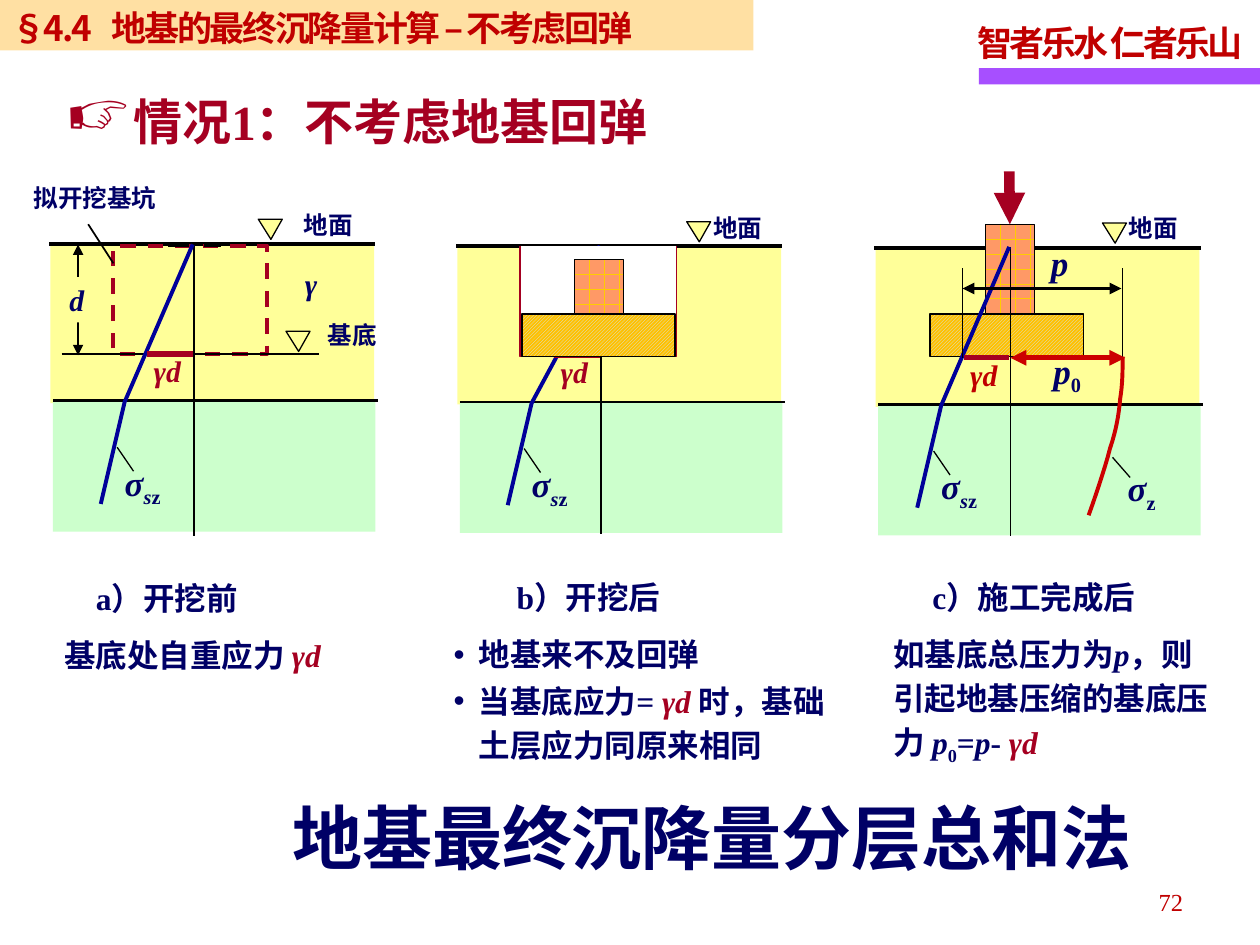
from dataclasses import dataclass
from lxml import etree
from pptx import Presentation
from pptx.dml.color import RGBColor
from pptx.enum.dml import MSO_LINE, MSO_PATTERN
from pptx.enum.shapes import MSO_CONNECTOR, MSO_SHAPE
from pptx.enum.text import MSO_ANCHOR, MSO_AUTO_SIZE, PP_ALIGN
from pptx.oxml.ns import qn
from pptx.util import Inches, Pt

RECT, STRAIGHT = MSO_SHAPE.RECTANGLE, MSO_CONNECTOR.STRAIGHT
LEFT, CENTER, RIGHT = PP_ALIGN.LEFT, PP_ALIGN.CENTER, PP_ALIGN.RIGHT
HATCH, BRICK = MSO_PATTERN.DARK_UPWARD_DIAGONAL, MSO_PATTERN.HORIZONTAL_BRICK


@dataclass(frozen=True)
class Theme:
    navy: str = "000066"
    crimson: str = "A50021"
    red: str = "C00000"
    curve: str = "CC0000"
    stress: str = "000099"
    black: str = "000000"
    white: str = "FFFFFF"
    soil: str = "FFFF99"
    subsoil: str = "CCFFCC"
    band: str = "FFCC66"
    rule: str = "A74FFF"
    serif: str = "Times New Roman"
    sans: str = "Roboto"
    cjk: str = "Noto Sans CJK SC"
    small: int = 14
    symbol: int = 17
    body: int = 18
    large: int = 20
    heading: int = 28
    closing: int = 40


T = Theme()
FOOTING = (HATCH, "CCECFF", "FFC000")
COLUMN = (BRICK, "FFCC00", "FF9966")

# A span is (text, flags, colour): i = italic, _ = subscript
GAMMA_D = ("γd", "i", T.crimson)
SIGMA_SZ = [("σ", "i"), ("s", "i_"), ("z", "_")]

# left, ground level, axis offset, marker offset, label offset, bends of the stress line
PANELS = {
    "before": (0.4, 1.94, 1.14, (1.65, -0.2), (1.94, -0.31), [(-0.01, 0)]),
    "after": (3.63, 1.95, 1.14, (1.82, -0.19), (1.96, -0.3), [(-0.01, 0), (-0.34, 0.86)]),
    "built": (6.95, 1.97, 1.07, (1.8, -0.2), (1.94, -0.32), [(-0.01, -0.01)]),
}
# box, heading, heading indent, hanging indent, bullet, paragraphs
COLUMNS = [
    ((0.44, 4.51, 2.26, 0.88), "a）开挖前", 0.25, 0, None,
     [[("基底处自重应力 ", ""), GAMMA_D]]),
    ((3.53, 4.5, 3.27, 1.6), "b）开挖后", 0.5, 0.2, "•",
     [[("地基来不及回弹", "")],
      [("当基底应力= ", ""), ("γd ", "i", T.crimson), ("时，基础土层应力同原来相同", "")]]),
    ((7.02, 4.5, 2.72, 1.57), "c）施工完成后", 0.31, 0, None,
     [[("如基底总压力为", ""), ("p", "i"), ("，则引起地基压缩的基底压力 ", ""), ("p", "i"),
       ("0", "_"), ("=", ""), ("p", "i"), ("- ", ""), GAMMA_D]]),
]
SIGMA_Z_CURVE = [
    [(8.91, 2.83), (8.91, 2.94), (8.91, 3.05), (8.89, 3.17)],
    [(8.89, 3.17), (8.88, 3.29), (8.86, 3.41), (8.81, 3.56)],
    [(8.81, 3.56), (8.77, 3.72), (8.67, 4.01), (8.64, 4.09)],
]

deck = Presentation()
deck.slide_width, deck.slide_height = Inches(10), Inches(7.5)
page = deck.slides.add_slide(deck.slide_layouts[4])
shapes = page.shapes


def rgb(value):
    return RGBColor.from_string(value)


def place(box, area):
    box.left, box.top, box.width, box.height = map(Inches, area)


def paint(shape, fill=None, line=None, width=1):
    shape.shadow.inherit = False
    if fill is None:
        shape.fill.background()
    elif isinstance(fill, tuple):
        shape.fill.patterned()
        shape.fill.pattern = fill[0]
        shape.fill.fore_color.rgb, shape.fill.back_color.rgb = rgb(fill[1]), rgb(fill[2])
    else:
        shape.fill.solid()
        shape.fill.fore_color.rgb = rgb(fill)
    if line:
        shape.line.color.rgb = rgb(line)
        shape.line.width = Pt(width)
    else:
        shape.line.fill.background()
    return shape


def rect(area, *style):
    return paint(shapes.add_shape(RECT, *map(Inches, area)), *style)


def outline(points, *style, close=False):
    start, *rest = [(Inches(x), Inches(y)) for x, y in points]
    builder = shapes.build_freeform(*start)
    builder.add_line_segments(rest, close=close)
    return paint(builder.convert_to_shape(), *style)


def line(start, end, color=T.black, width=1.0, ends="", dash=False):
    """Draw a straight line; ends may name headEnd and tailEnd arrowheads."""
    link = shapes.add_connector(STRAIGHT, *map(Inches, (*start, *end)))
    link.line.color.rgb, link.line.width = rgb(color), Pt(width)
    if dash:
        link.line.dash_style = MSO_LINE.DASH
    for end_name in ends.split():
        etree.SubElement(link.line._ln, qn("a:" + end_name), type="triangle")
    etree.SubElement(link._element.spPr, qn("a:effectLst"))
    return link


def write(para, spans, size, color=T.navy, font=T.serif, bold=True, tracking=0):
    for text, flags, *own in spans:
        span = para.add_run()
        span.text = text
        span.font.name, span.font.size, span.font.bold = font, Pt(size), bold
        span.font.italic = "i" in flags
        span.font.color.rgb = rgb(own[0] if own else color)
        if "_" in flags:
            span.font._element.set("baseline", "-25000")
        if tracking:
            span.font._element.set("spc", str(tracking))


def indent(para, margin=0.0, first=0.0, bullet=None, percent=100):
    props = para._p.get_or_add_pPr()
    props.set("marL", str(Inches(margin)))
    props.set("indent", str(Inches(first)))
    if bullet:
        etree.SubElement(props, qn("a:buSzPct"), val=str(percent * 1000))
        etree.SubElement(props, qn("a:buChar"), char=bullet)
    else:
        etree.SubElement(props, qn("a:buNone"))


def frame_of(box, inset=(0.07, 0.04), wrap=True):
    frame = box.text_frame
    frame.auto_size, frame.word_wrap = MSO_AUTO_SIZE.NONE, wrap
    frame.vertical_anchor = MSO_ANCHOR.TOP
    frame.margin_left = frame.margin_right = Inches(inset[0])
    frame.margin_top = frame.margin_bottom = Inches(inset[1])
    return frame


def label(area, spans, size, align=LEFT, inset=(0.07, 0.04), wrap=True, spacing=1.0, **style):
    box = shapes.add_textbox(*map(Inches, area))
    para = frame_of(box, inset, wrap).paragraphs[0]
    para.alignment, para.line_spacing = align, spacing
    write(para, spans, size, **style)
    return box


def small_label(area, text, align=LEFT):
    label(area, [(text, "")], T.small, align, font=T.sans)


def level_mark(x, y):
    outline([(x, y), (x + 0.19, y), (x + 0.1, y + 0.16)], T.soil, T.black, 0.75, close=True)


def draw_strata(name):
    x, y, _, mark, text, _ = PANELS[name]
    rect((x, y, 2.57, 1.26), T.soil)
    line((x - 0.01, y), (x + 2.58, y), width=2.25)
    rect((x + 0.02, y + 1.24, 2.56, 1.04), T.subsoil)
    line((x + 0.02, y + 1.24), (x + 2.6, y + 1.24), width=1.5)
    level_mark(x + mark[0], y + mark[1])
    small_label((x + text[0], y + text[1], 0.63, 0.31), "地面")


def draw_stress(name, gamma_color=T.crimson):
    x, y, offset, _, _, top = PANELS[name]
    axis = x + offset
    bends = top + [(-0.55, 1.25), (-0.74, 2.06)]
    outline([(axis + dx, y + dy) for dx, dy in bends], None, T.stress, 2.25)
    line((axis - 0.37, y + 0.87), (axis - 0.01, y + 0.87), T.crimson, 3)
    label((axis - 0.39, y + 0.82, 0.38, 0.36), [("γd", "i")], T.symbol, wrap=False,
          color=gamma_color)
    line((axis - 0.61, y + 1.61), (axis - 0.48, y + 1.8), width=0.75)
    label((axis - 0.62, y + 1.68, 0.47, 0.41), SIGMA_SZ, T.large, wrap=False)


def bezier(p0, p1, p2, p3, steps=8):
    for step in range(steps + 1):
        t = step / steps
        weights = ((1 - t) ** 3, 3 * t * (1 - t) ** 2, 3 * t * t * (1 - t), t ** 3)
        yield tuple(sum(w * p[k] for w, p in zip(weights, (p0, p1, p2, p3))) for k in (0, 1))


# Header band, motto and titles
rect((7.77, 0.54, 2.23, 0.13), T.rule)
label((7.66, 0.07, 2.36, 0.49), [("智者乐水 仁者乐山", "")], T.large, inset=(0.1, 0.05),
      wrap=False, spacing=1.15, color=T.red, tracking=-170)
band = rect((-0.01, 0, 5.99, 0.4), T.band)
alpha_parent = band._element.spPr.find(qn("a:solidFill"))[0]
etree.SubElement(alpha_parent, qn("a:alpha"), val="60000")
para = frame_of(band, (0.1, 0.05)).paragraphs[0]
para.alignment = LEFT
tabs = etree.SubElement(para._p.get_or_add_pPr(), qn("a:tabLst"))
etree.SubElement(tabs, qn("a:tab"), pos=str(Inches(0.8)), algn="l")
write(para, [("§4.4\t地基的最终沉降量计算 – 不考虑回弹", "")], T.large, T.red, T.cjk, tracking=-140)

place(shapes.title, (0.42, 0.68, 5.16, 0.63))
para = frame_of(shapes.title, (0.1, 0.05)).paragraphs[0]
para.alignment = LEFT
indent(para, 0.54, -0.54, "☞", 130)
write(para, [("情况1：不考虑地基回弹", "")], T.heading, T.crimson)

# Before excavation
draw_strata("before")
rect((0.9, 1.95, 1.22, 0.86), None, T.crimson, 2.25).line.dash_style = MSO_LINE.DASH
line((0.62, 1.94), (0.62, 2.82), width=1.5, ends="headEnd tailEnd")
paint(label((0.48, 2.2, 0.25, 0.36), [("d", "i")], T.symbol), T.soil)
line((0.49, 2.81), (2.53, 2.81))
small_label((2.53, 2.5, 0.56, 0.31), "基底")
level_mark(2.27, 2.63)
line((1.54, 1.93), (1.54, 4.25))
label((2.35, 2.07, 0.21, 0.36), [("γ", "i")], T.symbol)
line((1.33, 1.94), (1.75, 1.94), width=3, dash=True)
draw_stress("before")
line((0.9, 2.09), (0.7, 1.78))
small_label((0.15, 1.41, 1.21, 0.31), "拟开挖基坑", CENTER)

# After excavation
draw_strata("after")
draw_stress("after")
outline([(4.13, 1.95), (4.13, 2.83), (5.37, 2.83), (5.37, 1.95)], T.white, T.crimson)
line((4.77, 2.55), (4.77, 4.24))
rect((4.14, 2.49, 1.22, 0.34), FOOTING, T.black)
rect((4.56, 2.06, 0.39, 0.43), COLUMN, T.black, 0.75)

# Construction completed
draw_strata("built")
rect((7.38, 2.49, 1.22, 0.34), FOOTING, T.black)
column = rect((7.82, 1.78, 0.39, 0.71), COLUMN, T.black, 0.75)
line((8.01, 1.36), (8.01, 1.78), T.crimson, 6, "tailEnd").end_connect(column, 0)
line((8.02, 1.96), (8.02, 4.25))
draw_stress("built", T.red)
curve = [point for segment in SIGMA_Z_CURVE for point in bezier(*segment)]
outline(curve, None, T.curve, 2.25)
for x in (7.64, 8.91):
    line((x, 2.84), (x, 2.13), width=0.75)
line((7.64, 2.29), (8.9, 2.29), width=2.25, ends="headEnd tailEnd")
line((8.02, 2.84), (8.93, 2.84), T.curve, 3, "headEnd tailEnd")
label((8.27, 1.88, 0.31, 0.41), [("p", "i")], T.large)
label((8.29, 2.73, 0.51, 0.41), [("p", "i"), ("0", "_")], T.large)
label((8.88, 3.66, 0.4, 0.41), [("σ", "i"), ("z", "_")], T.large, wrap=False)
line((8.83, 3.63), (8.97, 3.79), width=0.75)

# Captions and notes under the panels
*bodies, spare = [box for box in page.placeholders if box.placeholder_format.idx]
spare._element.getparent().remove(spare._element)
for body, (area, heading, lead, hang, bullet, notes) in zip(bodies, COLUMNS):
    place(body, area)
    frame = frame_of(body)
    for number, spans in enumerate([[(heading, "")], *notes]):
        para = frame.add_paragraph() if number else frame.paragraphs[0]
        if number:
            indent(para, hang, -hang, bullet)
        else:
            indent(para, lead)
        para.alignment, para.line_spacing = LEFT, 1.15
        para.space_before, para.space_after = Pt(2 if number else 0), Pt(0 if number else 6)
        write(para, spans, T.body)

label((2.03, 6.26, 7.24, 0.77), [("地基最终沉降量分层总和法", "")], T.closing, CENTER,
      (0, 0.05), font=T.cjk)
label((7.16, 6.96, 2.33, 0.4), [("72", "")], T.small, RIGHT, (0.1, 0.05), spacing=1.15,
      color=T.red, bold=False)
deck.save("out.pptx")
